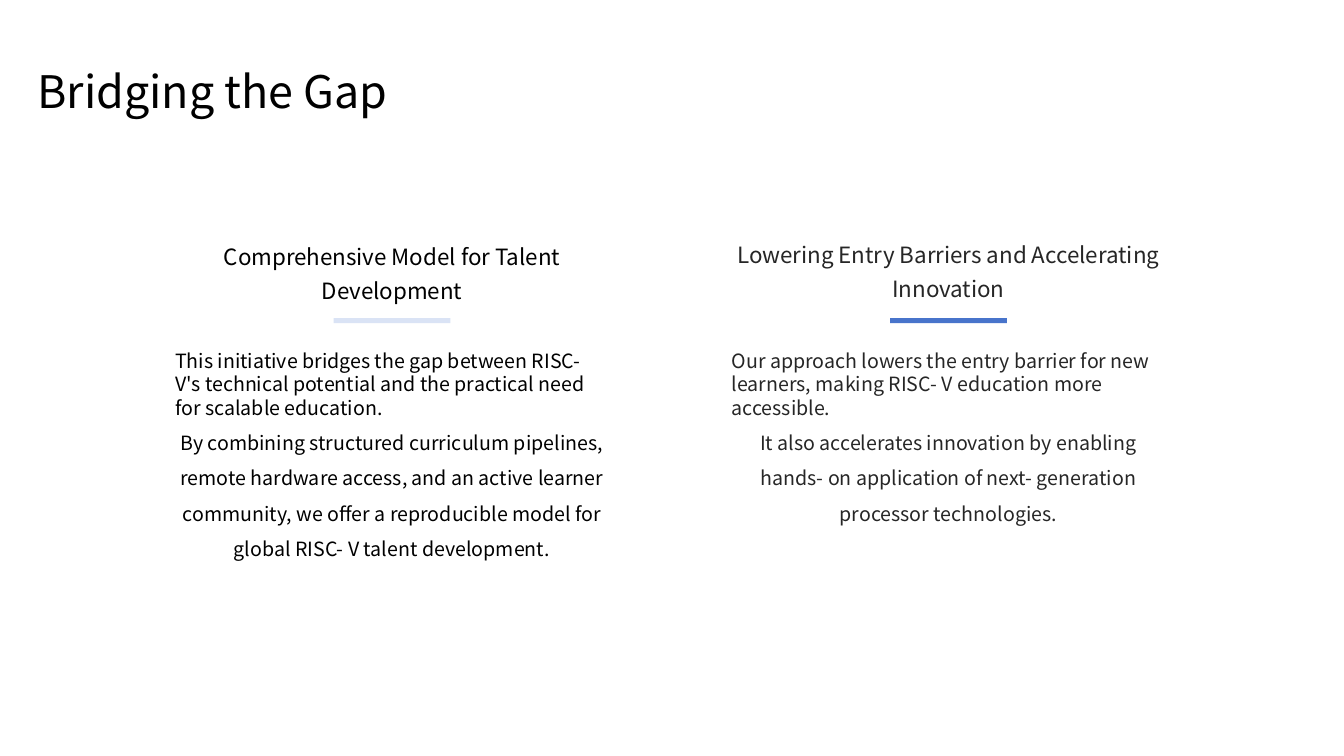
from dataclasses import dataclass

from pptx import Presentation
from pptx.dml.color import RGBColor
from pptx.enum.shapes import MSO_SHAPE
from pptx.enum.text import MSO_ANCHOR, MSO_AUTO_SIZE, PP_ALIGN
from pptx.util import Pt


@dataclass(frozen=True)
class Theme:
    """Font, type sizes and colours of the slide."""
    font: str = "Noto Sans CJK SC"
    title: int = 32
    head: int = 16
    body: int = 14
    black: str = "000000"
    dark: str = "262626"
    pale: str = "DAE3F5"
    blue: str = "4874CB"


THEME = Theme()
WIDTH = 324


def style(para, size, color, align, space):
    """Format one paragraph and its runs."""
    para.alignment = align
    para.line_spacing = space
    for run in para.runs:
        run.font.name = THEME.font
        run.font.size = Pt(size)
        run.font.color.rgb = RGBColor.from_string(color)


def add_title(slide, text):
    """Place and format the title placeholder."""
    title = slide.shapes.title
    title.left, title.top = Pt(26.64), Pt(43.92)
    title.width, title.height = Pt(628.56), Pt(33.84)
    frame = title.text_frame
    frame.text = text
    frame.auto_size = MSO_AUTO_SIZE.NONE
    frame.vertical_anchor = MSO_ANCHOR.MIDDLE
    frame.margin_left = frame.margin_right = Pt(0)
    frame.margin_top = frame.margin_bottom = Pt(0)
    style(frame.paragraphs[0], THEME.title, THEME.black, PP_ALIGN.LEFT, 1.2)


def add_box(slide, left, top, height, text, anchor):
    """Add a wrapped text box as wide as a column."""
    box = slide.shapes.add_textbox(Pt(left), Pt(top), Pt(WIDTH), Pt(height))
    frame = box.text_frame
    frame.word_wrap = True
    frame.vertical_anchor = anchor
    frame.text = text
    return frame.paragraphs


def add_bar(slide, center, color):
    """Add the accent bar below a heading."""
    wide = 83.52
    bar = slide.shapes.add_shape(
        MSO_SHAPE.RECTANGLE, Pt(center - wide / 2), Pt(227.2), Pt(wide), Pt(3.6))
    bar.shadow.inherit = False
    bar.fill.solid()
    bar.fill.fore_color.rgb = RGBColor.from_string(color)
    bar.line.fill.background()


def add_column(slide, left, top, height, head, lead, more, color, accent):
    """Add a heading, its bar and the two body paragraphs."""
    body = add_box(slide, left, 245.52, 164.16, f"{lead}\n{more}", MSO_ANCHOR.TOP)
    style(body[0], THEME.body, color, PP_ALIGN.LEFT, 1.0)
    style(body[1], THEME.body, color, PP_ALIGN.CENTER, 1.5)
    heads = add_box(slide, left, top, height, head, MSO_ANCHOR.BOTTOM)
    style(heads[0], THEME.head, color, PP_ALIGN.CENTER, 1.3)
    add_bar(slide, left + WIDTH / 2, accent)


def main():
    """Build the slide and save it."""
    deck = Presentation()
    deck.slide_width, deck.slide_height = Pt(960), Pt(540)
    slide = deck.slides.add_slide(deck.slide_layouts[5])
    add_title(slide, "Bridging the Gap")
    add_column(
        slide, 118.08, 160.56, 60.48,
        "Comprehensive Model for Talent Development",
        "This initiative bridges the gap between RISC- V's technical potential "
        "and the practical need for scalable education.",
        "By combining structured curriculum pipelines, remote hardware access, "
        "and an active learner community, we offer a reproducible model for "
        "global RISC- V talent development.",
        THEME.black, THEME.pale)
    add_column(
        slide, 515.52, 162.72, 56.88,
        "Lowering Entry Barriers and Accelerating Innovation",
        "Our approach lowers the entry barrier for new learners, making "
        "RISC- V education more accessible.",
        "It also accelerates innovation by enabling hands- on application of "
        "next- generation processor technologies.",
        THEME.dark, THEME.blue)
    deck.save("out.pptx")


if __name__ == "__main__":
    main()
